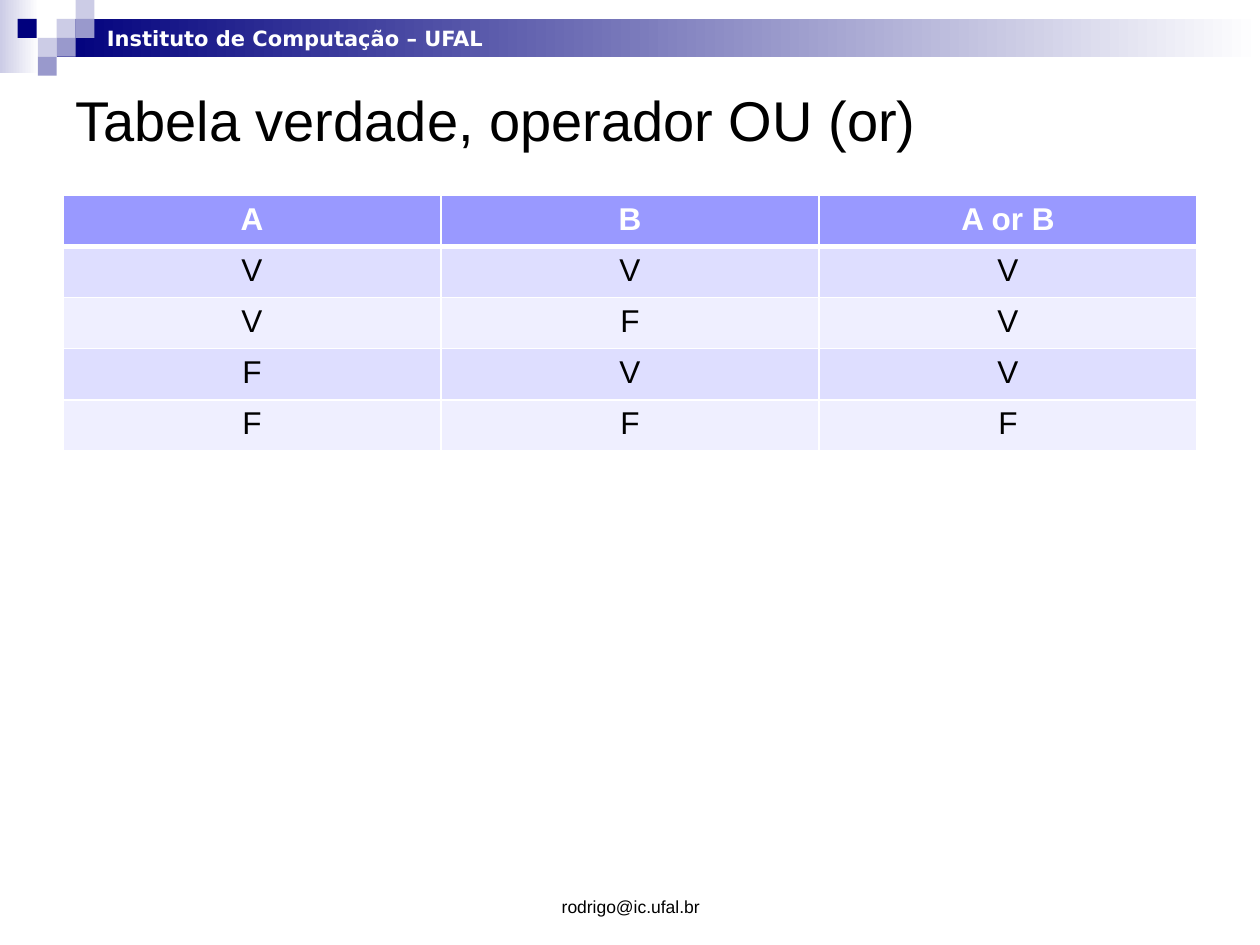
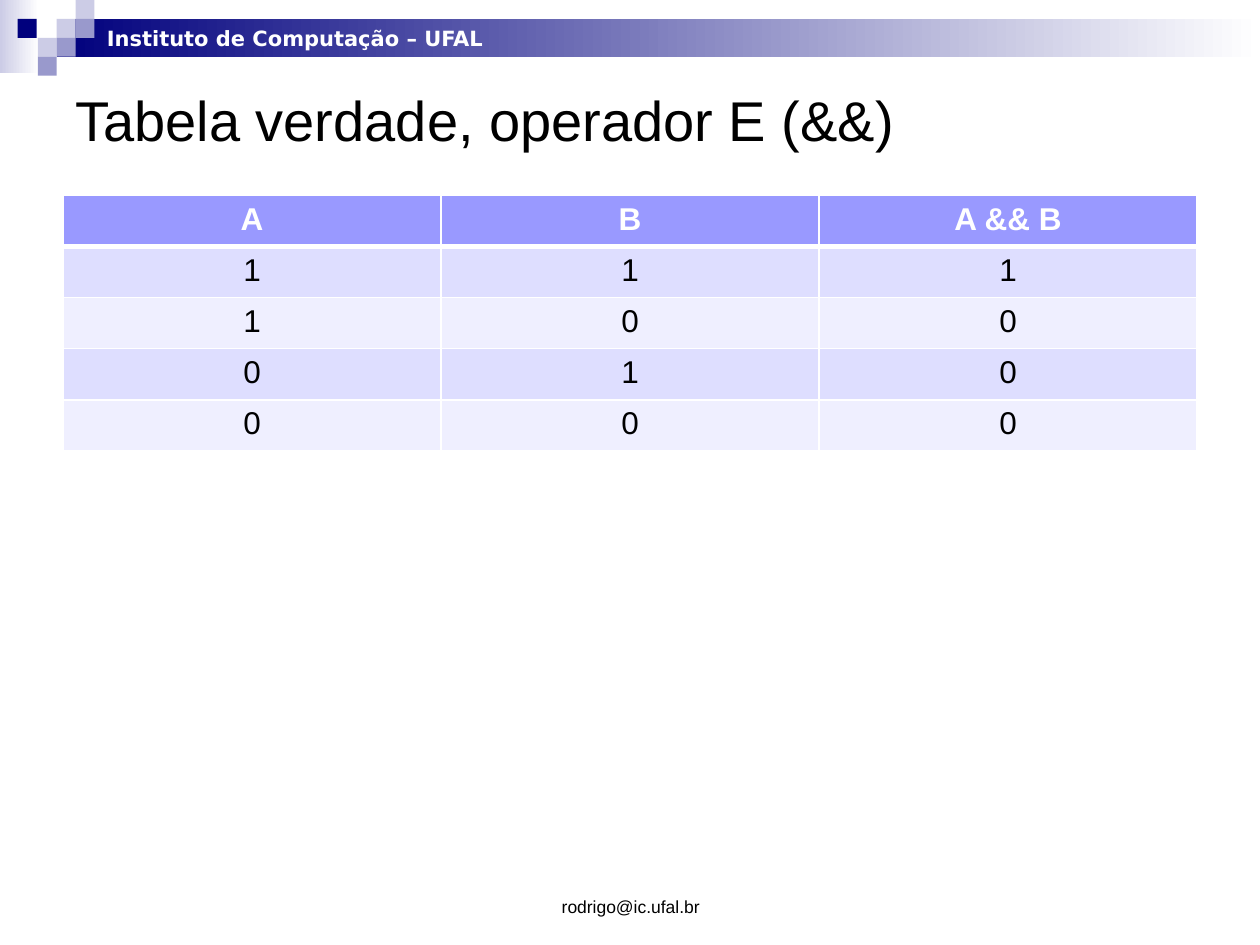
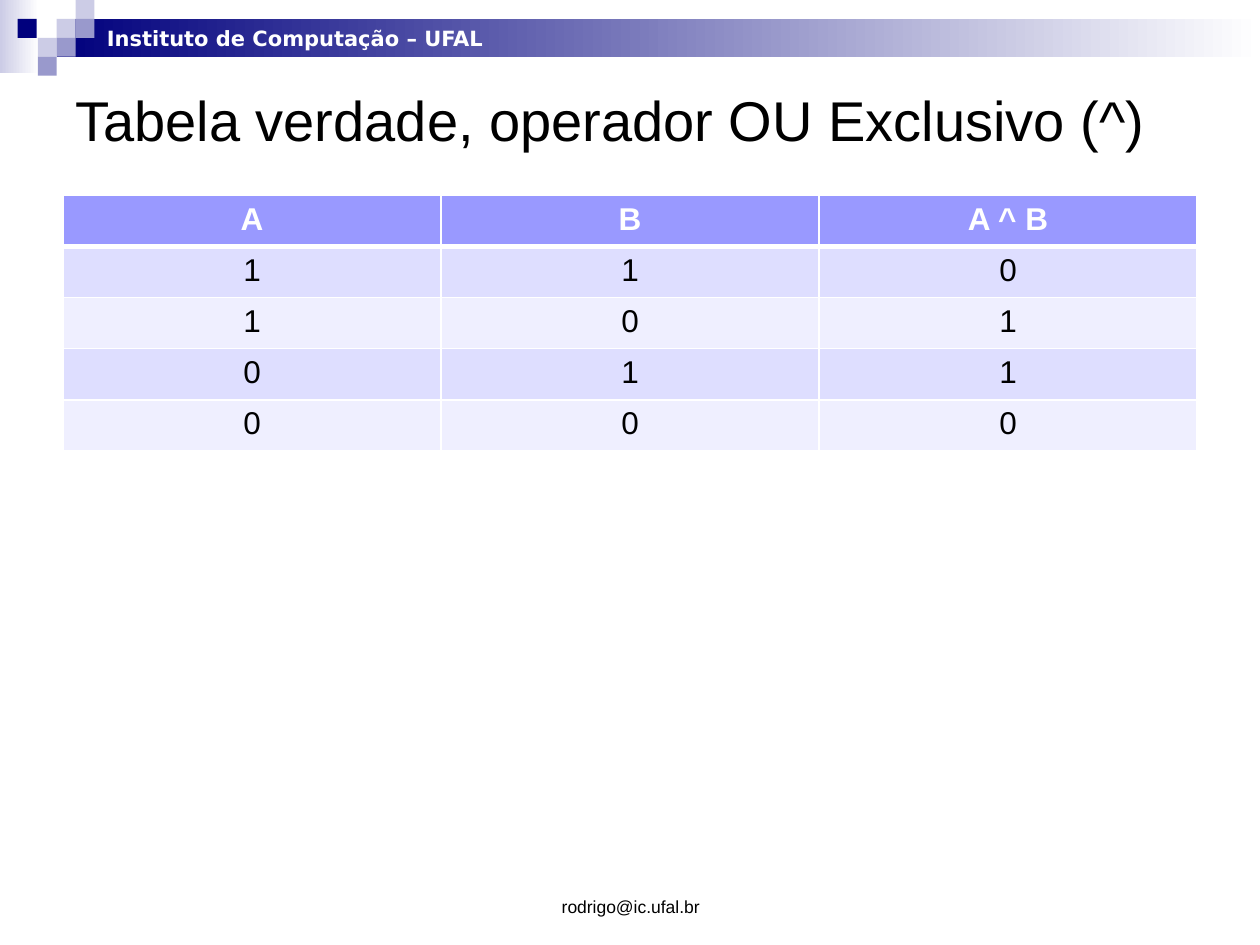
from dataclasses import dataclass
from itertools import product

from lxml import etree
from pptx import Presentation
from pptx import util as u
from pptx.dml.color import RGBColor
from pptx.enum import shapes, text
from pptx.oxml import ns


@dataclass(frozen=True)
class Theme:
    navy: str = "00007D"
    mid_blue: str = "9999CC"
    pale_blue: str = "CCCCE6"
    header: str = "9999FF"
    odd_row: str = "DEDEFF"
    even_row: str = "EFEFFF"
    white: str = "FFFFFF"
    black: str = "000000"
    body_font: str = "Arial"
    band_font: str = "DejaVu Sans"
    title_size: int = 32
    table_size: int = 18
    band_size: int = 12
    footer_size: int = 10


THEME = Theme()
TILE = 0.15
TILES = [
    (0.45, 1, THEME.pale_blue),
    (0.6, 0, THEME.pale_blue),
    (0.6, 1, THEME.mid_blue),
    (0.3, 2, THEME.pale_blue),
    (0.14, 1, THEME.navy),
    (0.45, 2, THEME.mid_blue),
    (0.3, 3, THEME.mid_blue),
]


def rgb(color):
    return RGBColor.from_string(color)


def style_text(para, size, color, font=THEME.body_font, bold=False, centred=False):
    para.alignment = text.PP_ALIGN.CENTER if centred else text.PP_ALIGN.LEFT
    for span in para.runs:
        span.font.name = font
        span.font.size = u.Pt(size)
        span.font.bold = bold
        span.font.color.rgb = rgb(color)


def add_label(page, area, words, anchor=text.MSO_ANCHOR.TOP, wrap=True, **style):
    box = page.shapes.add_textbox(*map(u.Inches, area))
    frame = box.text_frame
    frame.word_wrap = wrap
    frame.vertical_anchor = anchor
    frame.text = words
    style_text(frame.paragraphs[0], **style)


def add_block(page, area, color, fade_to=None):
    block = page.shapes.add_shape(shapes.MSO_SHAPE.RECTANGLE, *map(u.Inches, area))
    block.shadow.inherit = False
    block.line.fill.background()
    if fade_to is None:
        block.fill.solid()
        block.fill.fore_color.rgb = rgb(color)
        return
    block.fill.gradient()
    block.fill.gradient_angle = 0
    for stop, stop_color in zip(block.fill.gradient_stops, (color, fade_to)):
        stop.color.rgb = rgb(stop_color)


def add_band(page):
    add_block(page, (0, 0, 0.31, 0.58), THEME.pale_blue, fade_to=THEME.white)
    add_block(page, (0.45, TILE, 9.55, 2 * TILE), THEME.navy, fade_to=THEME.white)
    for left, row, color in TILES:
        add_block(page, (left, row * TILE, TILE, TILE), color)
    add_label(page, (0.75, 0.15, 3.24, 0.3), "Instituto de Computação – UFAL",
              wrap=False, size=THEME.band_size, color=THEME.white,
              font=THEME.band_font, bold=True)


def add_title(page, words):
    add_label(page, (0.5, 0.5, 9, 0.89), words, anchor=text.MSO_ANCHOR.MIDDLE,
              size=THEME.title_size, color=THEME.black)


def add_footer(page):
    add_label(page, (3.42, 6.83, 3.17, 0.5), "rodrigo@ic.ufal.br",
              anchor=text.MSO_ANCHOR.BOTTOM, size=THEME.footer_size,
              color=THEME.black, centred=True)


def set_borders(cell, top=1, bottom=1):
    properties = cell._tc.get_or_add_tcPr()
    for side, width in (("L", 1), ("R", 1), ("T", top), ("B", bottom)):
        line = etree.SubElement(properties, ns.qn(f"a:ln{side}"), w=str(u.Pt(width)))
        fill = etree.SubElement(line, ns.qn("a:solidFill"))
        etree.SubElement(fill, ns.qn("a:srgbClr"), val=THEME.white)


def add_truth_table(page, expression, symbols, operator):
    rows = [("A", "B", expression)]
    for a, b in product((True, False), repeat=2):
        rows.append([symbols[value] for value in (a, b, operator(a, b))])
    area = map(u.Inches, (0.5, 1.55, 9, 2.03))
    table = page.shapes.add_table(len(rows), len(rows[0]), *area).table
    for r, values in enumerate(rows):
        is_header = r == 0
        fill = THEME.header if is_header else THEME.odd_row if r % 2 else THEME.even_row
        for c, value in enumerate(values):
            cell = table.cell(r, c)
            set_borders(cell, top=3 if r == 1 else 1, bottom=3 if is_header else 1)
            cell.fill.solid()
            cell.fill.fore_color.rgb = rgb(fill)
            cell.text_frame.text = value
            style_text(cell.text_frame.paragraphs[0], size=THEME.table_size,
                       color=THEME.white if is_header else THEME.black,
                       bold=is_header, centred=True)


def add_operator_page(deck, title, expression, symbols, operator):
    page = deck.slides.add_slide(deck.slide_layouts[6])
    add_band(page)
    add_title(page, title)
    add_truth_table(page, expression, symbols, operator)
    add_footer(page)


def main():
    deck = Presentation()
    deck.slide_width = u.Inches(10)
    deck.slide_height = u.Inches(7.5)
    letters = {True: "V", False: "F"}
    digits = {True: "1", False: "0"}
    add_operator_page(deck, "Tabela verdade, operador OU (or)", "A or B",
                      letters, lambda a, b: a or b)
    add_operator_page(deck, "Tabela verdade, operador E (&&)", "A && B",
                      digits, lambda a, b: a and b)
    add_operator_page(deck, "Tabela verdade, operador OU Exclusivo (^)", "A ^ B",
                      digits, lambda a, b: a != b)
    deck.save("out.pptx")


if __name__ == "__main__":
    main()
